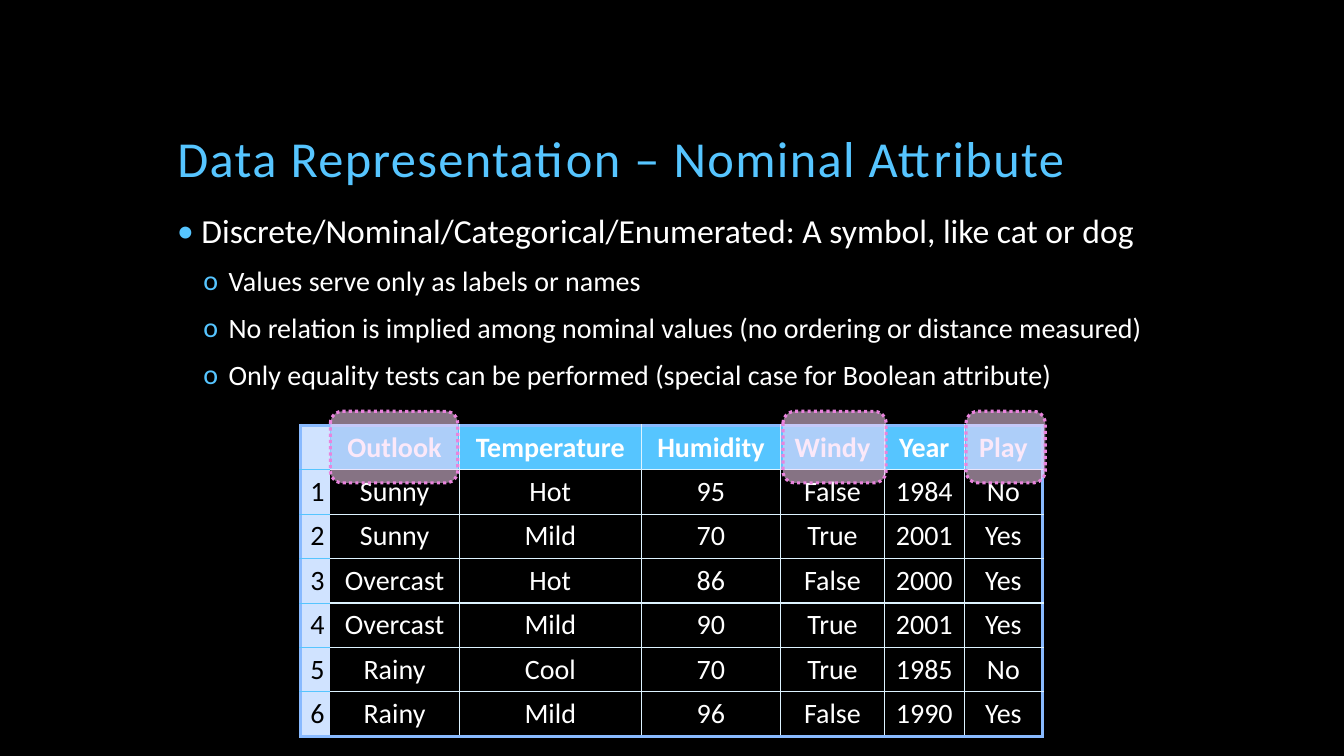
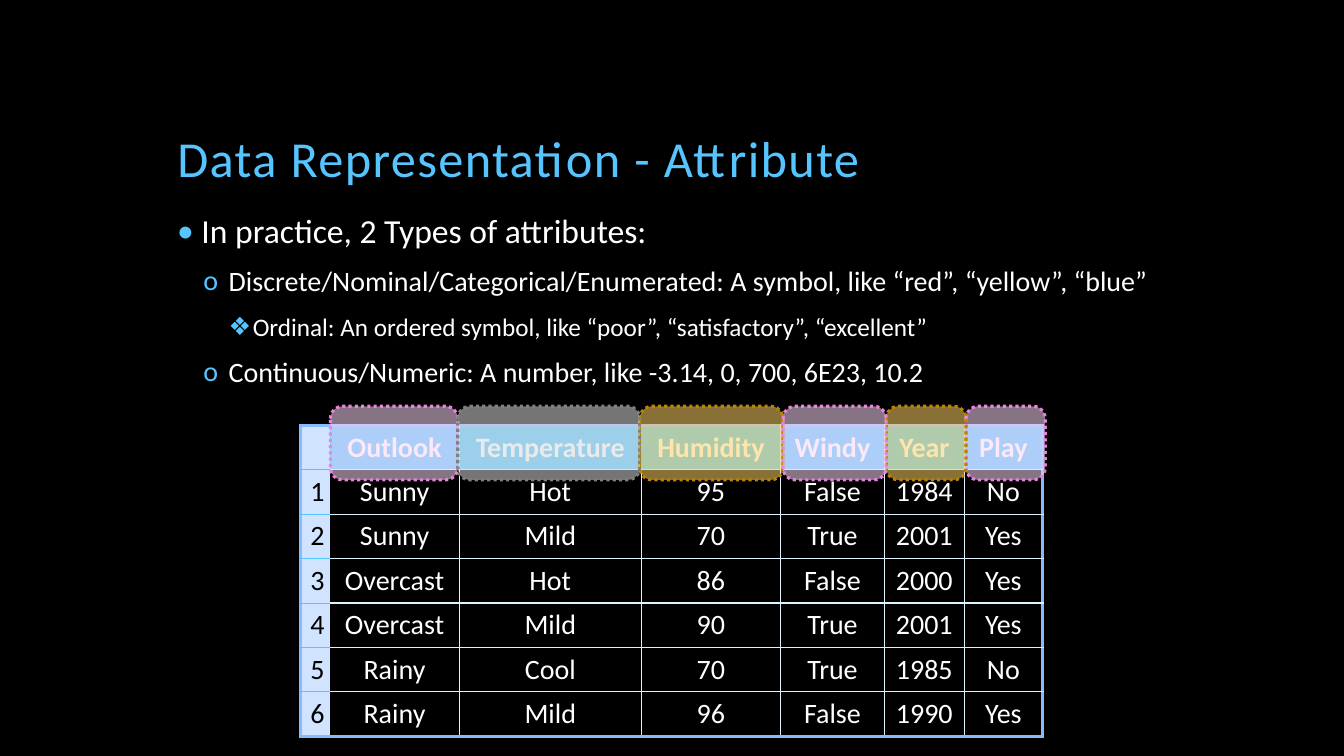
from dataclasses import dataclass

from lxml import etree
from pptx import Presentation
from pptx.dml.color import RGBColor
from pptx.enum.dml import MSO_LINE
from pptx.enum.shapes import MSO_SHAPE
from pptx.enum.text import MSO_ANCHOR, MSO_AUTO_SIZE, PP_ALIGN
from pptx.oxml.ns import qn
from pptx.util import Pt

ROUNDED = MSO_SHAPE.ROUNDED_RECTANGLE
DOTTED = MSO_LINE.ROUND_DOT
LEFT, CENTER = PP_ALIGN.LEFT, PP_ALIGN.CENTER
TOP, MIDDLE, BOTTOM = MSO_ANCHOR.TOP, MSO_ANCHOR.MIDDLE, MSO_ANCHOR.BOTTOM
NO_FIT = MSO_AUTO_SIZE.NONE
TITLE_ONLY = 5
PLAIN_TABLE = "{2D5ABB26-0587-4C30-8999-92F81FD0307C}"


@dataclass(frozen=True)
class Theme:
    font: str = "Calibri"
    background: str = "000000"
    text: str = "FFFFFF"
    accent: str = "56C5FF"
    row_label: str = "D0E3FF"
    frame: str = "89BAFF"
    grid: str = "DDF3FF"
    title_size: float = 36
    cell_size: float = 20
    # Per bullet level: symbol, type size, left margin, hanging indent, space before
    bullets: tuple = (
        ("•", 24, 17.3, 17.3, 18),
        ("o", 20, 36.7, 18, 12),
        ("❖", 18, 54, 17.3, 12),
    )


# Highlight colours: fill and outline
NOMINAL = ("F8D6F4", "E983DD")
NUMERIC = ("FDD067", "BA8403")
ORDINAL = ("D9D9D9", "808080")

# Weather table
COLUMN_WIDTHS = (21, 92.5, 130, 99.5, 74.2, 57, 56)
ROW_HEIGHT = 29.5
WEATHER = (
    ("", "Outlook", "Temperature", "Humidity", "Windy", "Year", "Play"),
    ("1", "Sunny", "Hot", "95", "False", "1984", "No"),
    ("2", "Sunny", "Mild", "70", "True", "2001", "Yes"),
    ("3", "Overcast", "Hot", "86", "False", "2000", "Yes"),
    ("4", "Overcast", "Mild", "90", "True", "2001", "Yes"),
    ("5", "Rainy", "Cool", "70", "True", "1985", "No"),
    ("6", "Rainy", "Mild", "96", "False", "1990", "Yes"),
)
# Left edges of the highlights over each attribute, and the last right edge
HIGHLIGHT_EDGES = (236, 327, 457, 559.3, 633, 690, 746.6)


def color(value):
    return RGBColor.from_string(value)


class Deck:
    """Holds the theme and the slide being built."""

    def __init__(self, theme):
        self.theme = theme
        self.presentation = Presentation()
        self.presentation.slide_width = Pt(960)
        self.presentation.slide_height = Pt(540)
        background = self.presentation.slide_master.background.fill
        background.solid()
        background.fore_color.rgb = color(theme.background)
        self.slide = None

    def new_slide(self, title):
        layout = self.presentation.slide_layouts[TITLE_ONLY]
        self.slide = self.presentation.slides.add_slide(layout)
        shape = self.slide.shapes.title
        shape.left, shape.top, shape.width, shape.height = map(Pt, (119.5, 30.2, 720, 108))
        self.frame(shape, BOTTOM)
        paragraph = shape.text_frame.paragraphs[0]
        paragraph.alignment = LEFT
        paragraph.line_spacing = 0.9
        run = self.run(paragraph, title, self.theme.title_size, self.theme.accent)
        run.font._element.set("spc", "100")

    def frame(self, shape, anchor):
        settings = {"word_wrap": True, "auto_size": NO_FIT, "vertical_anchor": anchor}
        for name, value in settings.items():
            setattr(shape.text_frame, name, value)

    def run(self, paragraph, text, size, text_color, bold=False):
        run = paragraph.add_run()
        run.text = text
        settings = {"name": self.theme.font, "size": Pt(size), "bold": bold}
        for name, value in settings.items():
            setattr(run.font, name, value)
        run.font.color.rgb = color(text_color)
        return run

    def bullets(self, items):
        shape = self.slide.shapes.add_textbox(*map(Pt, (119.5, 149.8, 719.3, 324)))
        self.frame(shape, TOP)
        for index, (level, text) in enumerate(items):
            text_frame = shape.text_frame
            paragraph = text_frame.add_paragraph() if index else text_frame.paragraphs[0]
            symbol, size, margin, hanging, space = self.theme.bullets[level]
            paragraph.level = level
            paragraph.alignment = LEFT
            paragraph.line_spacing = 0.9
            if index:
                paragraph.space_before = Pt(space)
            properties = paragraph._p.get_or_add_pPr()
            properties.set("marL", str(Pt(margin)))
            properties.set("indent", str(-Pt(hanging)))
            bullet_color = etree.SubElement(properties, qn("a:buClr"))
            etree.SubElement(bullet_color, qn("a:srgbClr"), val=self.theme.accent)
            etree.SubElement(properties, qn("a:buFont"), typeface=self.theme.font)
            etree.SubElement(properties, qn("a:buChar"), char=symbol)
            self.run(paragraph, text, size, self.theme.text)

    def table(self, rows):
        size = len(rows), len(COLUMN_WIDTHS)
        place = (214.6, 303.8, sum(COLUMN_WIDTHS), ROW_HEIGHT * len(rows))
        table = self.slide.shapes.add_table(*size, *map(Pt, place)).table
        table.first_row = table.horz_banding = False
        table._tbl.tblPr.find(qn("a:tableStyleId")).text = PLAIN_TABLE
        for column, width in zip(table.columns, COLUMN_WIDTHS):
            column.width = Pt(width)
        for row_index, row in enumerate(rows):
            table.rows[row_index].height = Pt(ROW_HEIGHT)
            for column_index, text in enumerate(row):
                cell = table.cell(row_index, column_index)
                self.borders(cell, row_index, column_index, *size)
                self.cell(cell, text, row_index == 0, column_index == 0)

    def cell(self, cell, text, is_header, is_label):
        cell.vertical_anchor = MIDDLE
        fill = self.theme.row_label if is_label else self.theme.accent
        if is_label or is_header:
            cell.fill.solid()
            cell.fill.fore_color.rgb = color(fill)
        else:
            cell.fill.background()
        if is_label:
            cell.margin_left, cell.margin_right = Pt(5), Pt(1.5)
        paragraph = cell.text_frame.paragraphs[0]
        paragraph.alignment = CENTER
        if text:
            text_color = self.theme.background if is_label else self.theme.text
            self.run(paragraph, text, self.theme.cell_size, text_color, is_header)

    def borders(self, cell, row, column, row_count, column_count):
        outer = (self.theme.frame, 2.25)
        grid = (self.theme.grid, 1)
        across = (self.theme.accent, 0.5) if column == 0 else grid
        sides = {
            "a:lnL": outer if column == 0 else None if column == 1 else grid,
            "a:lnR": outer if column == column_count - 1 else None if column == 0 else grid,
            "a:lnT": outer if row == 0 else across,
            "a:lnB": outer if row == row_count - 1 else across,
        }
        properties = cell._tc.get_or_add_tcPr()
        for tag, style in sides.items():
            line = etree.SubElement(properties, qn(tag))
            if style is None:
                etree.SubElement(line, qn("a:noFill"))
                continue
            line_color, width = style
            line.set("w", str(Pt(width)))
            fill = etree.SubElement(line, qn("a:solidFill"))
            etree.SubElement(fill, qn("a:srgbClr"), val=line_color)

    def highlight(self, attribute, colors, top, height):
        index = WEATHER[0].index(attribute) - 1
        left, right = HIGHLIGHT_EDGES[index:index + 2]
        place = map(Pt, (left, top, right - left, height))
        shape = self.slide.shapes.add_shape(ROUNDED, *place)
        shape.shadow.inherit = False
        fill_color, line_color = colors
        shape.fill.solid()
        shape.fill.fore_color.rgb = color(fill_color)
        tint = shape.fill._xPr.find(qn("a:solidFill"))[0]
        etree.SubElement(tint, qn("a:alpha"), val="54000")
        shape.line.color.rgb = color(line_color)
        shape.line.width = Pt(2.25)
        shape.line.dash_style = DOTTED


SLIDES = (
    {
        "title": "Data Representation – Nominal Attribute",
        "bullets": (
            (0, "Discrete/Nominal/Categorical/Enumerated: A symbol, like cat or dog"),
            (1, "Values serve only as labels or names"),
            (1, "No relation is implied among nominal values (no ordering or distance measured)"),
            (1, "Only equality tests can be performed (special case for Boolean attribute)"),
        ),
        "band": (293.8, 51.1),
        "highlights": {"Outlook": NOMINAL, "Windy": NOMINAL, "Play": NOMINAL},
    },
    {
        "title": "Data Representation - Attribute",
        "bullets": (
            (0, "In practice, 2 Types of attributes:"),
            (1, "Discrete/Nominal/Categorical/Enumerated: A symbol, like “red”, “yellow”, “blue”"),
            (2, "Ordinal: An ordered symbol, like “poor”, “satisfactory”, “excellent”"),
            (1, "Continuous/Numeric: A number, like -3.14, 0, 700, 6E23, 10.2"),
        ),
        "band": (290.2, 52.6),
        "highlights": {
            "Outlook": NOMINAL, "Play": NOMINAL, "Humidity": NUMERIC,
            "Year": NUMERIC, "Temperature": ORDINAL, "Windy": NOMINAL,
        },
    },
)


def main():
    deck = Deck(Theme())
    for content in SLIDES:
        deck.new_slide(content["title"])
        deck.table(WEATHER)
        deck.bullets(content["bullets"])
        for attribute, colors in content["highlights"].items():
            deck.highlight(attribute, colors, *content["band"])
    deck.presentation.save("out.pptx")


if __name__ == "__main__":
    main()
